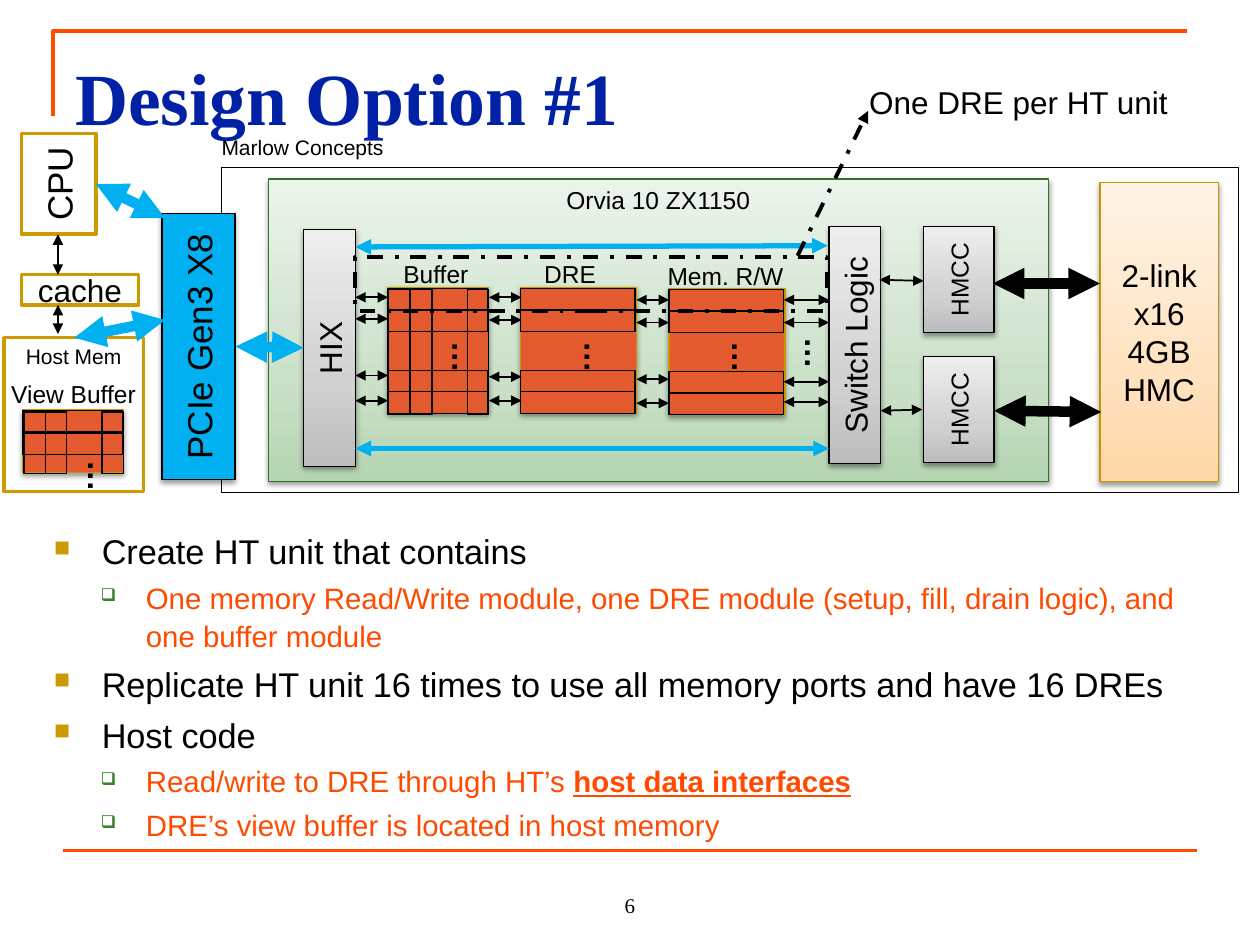
from lxml import etree
from pptx import Presentation
from pptx.dml.color import RGBColor
from pptx.enum import dml, shapes, text
from pptx.oxml import ns
from pptx.util import Inches, Pt

BLACK, WHITE, ORANGE, GOLD, CYAN = "000000", "FFFFFF", "FF4A00", "CC9900", "00B0F0"
GREY = ("BDBDBD", "D1D1D1", "EEEEEE")
GREEN = ("B5D5B2", "CCE1CA", "EBF4EB")
PEACH = ("FFD6A5", "FFE2BF", "FFF3E7")
CENTER = text.PP_ALIGN.CENTER
MIDDLE = text.MSO_ANCHOR.MIDDLE
ROW = 0.17


def color(value):
    return RGBColor.from_string(value)


def add_xml(parent, tag, **attributes):
    element = etree.SubElement(parent, ns.qn(tag))
    for name, value in attributes.items():
        element.set(name, str(value))
    return element


def style_font(font, size, value, name="Arial", bold=False):
    font.size, font.name, font.bold = Pt(size), name, bold
    font.color.rgb = color(value)


def style_line(line, value, width, dash=None):
    line.color.rgb = color(value)
    line.width = Pt(width)
    if dash:
        line.dash_style = dash


def paint(fill, value):
    """No fill, one colour, or three colours running from bottom to top."""
    if value is None:
        fill.background()
    elif isinstance(value, str):
        fill.solid()
        fill.fore_color.rgb = color(value)
    else:
        fill.gradient()
        fill.gradient_angle = 90
        stops = fill._fill._gradFill.find(ns.qn("a:gsLst"))
        for stop in list(stops):
            stops.remove(stop)
        for position, shade in zip((0, 35000, 100000), value):
            stop = add_xml(stops, "a:gs", pos=position)
            add_xml(stop, "a:srgbClr", val=shade)


def add_shadow(shape):
    effects = shape._element.spPr.find(ns.qn("a:effectLst"))
    outer = add_xml(effects, "a:outerShdw", blurRad=Pt(3.1), dist=Pt(1.6),
                    dir=5400000, rotWithShape=0)
    add_xml(add_xml(outer, "a:srgbClr", val=BLACK), "a:alpha", val=38000)


def write(shape, words, size, align=None, anchor=text.MSO_ANCHOR.TOP,
          vert=None, value=BLACK, name="Arial", bold=False):
    frame = shape.text_frame
    frame.word_wrap = True
    frame.vertical_anchor = anchor
    if vert:
        frame._txBody.bodyPr.set("vert", vert)
    para = frame.paragraphs[0]
    para.alignment = align
    para.add_run().text = words
    style_font(para.font, size, value, name, bold)


def add_label(page, x, y, w, h, words, size, **options):
    box = page.shapes.add_textbox(Inches(x), Inches(y), Inches(w), Inches(h))
    write(box, words, size, **options)
    return box


def add_box(page, x, y, w, h, fill=None, line=BLACK, width=0.75, dash=None, shadow=False):
    box = page.shapes.add_shape(shapes.MSO_SHAPE.RECTANGLE,
                                Inches(x), Inches(y), Inches(w), Inches(h))
    box.shadow.inherit = False
    paint(box.fill, fill)
    style_line(box.line, line, width, dash)
    if shadow:
        add_shadow(box)
    return box


def add_line(page, x1, y1, x2, y2, value=BLACK, width=1, ends="both", dash=None):
    line = page.shapes.add_connector(shapes.MSO_CONNECTOR.STRAIGHT,
                                     Inches(x1), Inches(y1), Inches(x2), Inches(y2))
    style_line(line.line, value, width, dash)
    if ends == "both":
        add_xml(line.line._ln, "a:headEnd", type="triangle")
    if ends:
        add_xml(line.line._ln, "a:tailEnd", type="triangle")
    add_xml(line._element.spPr, "a:effectLst")


def add_dots(page, x, y):
    add_label(page, x, y, 0.36, 0.4, "…", 18, vert="vert", bold=True)


def add_module(page, x, y, w, h, rows, columns=()):
    """Orange memory block divided by outlined rows and columns."""
    add_box(page, x, y, w, h, "E25A2E", "C89600", shadow=True)
    for offset in rows:
        add_box(page, x, y + offset, w - 0.01, ROW)
    for offset in columns:
        add_box(page, x + offset, y + 0.02, ROW, h - 0.01)


def add_frame(page):
    corner = page.shapes.build_freeform(Inches(0.42), Inches(0.92))
    corner.add_line_segments([(Inches(0.42), Inches(0.25)), (Inches(9.42), Inches(0.25))],
                             close=False)
    outline = corner.convert_to_shape()
    outline.shadow.inherit = False
    outline.fill.background()
    style_line(outline.line, ORANGE, 2.25)
    add_line(page, 0.5, 6.75, 9.5, 6.75, ORANGE, 2.25, ends=None)
    title = add_label(page, 0.5, 0.3, 9, 1.03, "Design Option #1", 42, anchor=MIDDLE,
                      value="0021A5", name="Times New Roman", bold=True)
    title.text_frame.margin_bottom = Inches(0.15)
    add_label(page, 4, 6.83, 2, 0.5, "6", 12, align=CENTER,
              anchor=text.MSO_ANCHOR.BOTTOM, name="Times New Roman")


def add_bullets(page, items):
    box = page.shapes.add_textbox(Inches(0.33), Inches(4.14), Inches(9.33), Inches(2.56))
    frame = box.text_frame
    frame.word_wrap = True
    looks = [(0.38, -0.38, "■", GOLD, 65, 19.6, BLACK),
             (0.73, -0.36, "❑", "3B812F", 60, 16.8, ORANGE)]
    for index, (level, words, strong) in enumerate(items):
        left, indent, mark, tint, percent, size, value = looks[level]
        para = frame.add_paragraph() if index else frame.paragraphs[0]
        para.level = level
        para.line_spacing = 1.07
        para.space_before = Pt(size * 0.2 if index else 0)
        props = para._p.get_or_add_pPr()
        props.set("marL", str(Inches(left)))
        props.set("indent", str(Inches(indent)))
        add_xml(add_xml(props, "a:buClr"), "a:srgbClr", val=tint)
        add_xml(props, "a:buSzPct", val=percent * 1000)
        add_xml(props, "a:buChar", char=mark)
        style_font(para.font, size, value)
        para.add_run().text = words
        if strong:
            span = para.add_run()
            span.text = strong
            span.font.bold = span.font.underline = True


def add_board(page):
    add_box(page, 1.76, 1.33, 8.07, 2.58)
    add_label(page, 1.66, 1.02, 1.59, 0.3, "Marlow Concepts", 12)
    link = add_box(page, 0.52, 2.46, 2.11, 0.58, CYAN, shadow=True)
    link.rotation = 270
    write(link, "PCIe Gen3 X8", 20, CENTER, MIDDLE)
    chip = add_box(page, 2.13, 1.42, 6.19, 2.4, GREEN, "337327", shadow=True)
    write(chip, "Orvia 10 ZX1150", 14, CENTER)
    memory = add_box(page, 8.73, 1.45, 0.94, 2.37, PEACH, "C89600", shadow=True)
    write(memory, "2-link x16 4GB HMC", 18, CENTER, MIDDLE)
    for x, y, w, h, words, size in [(2.41, 1.82, 0.41, 1.88, "HIX", 18),
                                    (6.58, 1.8, 0.41, 1.88, "Switch Logic", 18),
                                    (7.33, 1.8, 0.56, 0.84, "HMCC", 14),
                                    (7.33, 2.83, 0.56, 0.84, "HMCC", 14)]:
        unit = add_box(page, x, y, w, h, GREY, shadow=True)
        write(unit, words, size, CENTER, MIDDLE, "vert270")


def add_pipeline(page):
    rows, columns = (0.01, 0.18, 0.66, 0.83), (0, 0.18, 0.63)
    add_module(page, 5.31, 2.29, 0.92, 1, rows)
    add_module(page, 4.13, 2.28, 0.92, 1, rows)
    add_module(page, 3.08, 2.28, 0.8, 1, rows, columns)
    for x in (3.53, 4.58, 5.75):
        add_dots(page, x, 2.61)
    add_dots(page, 6.33, 2.58)
    add_label(page, 3.06, 2.01, 0.8, 0.34, "Buffer", 14, align=CENTER)
    add_label(page, 4.22, 2.01, 0.77, 0.34, "DRE", 14)
    add_label(page, 5.2, 2.02, 1.36, 0.34, "Mem. R/W", 14)
    # Arrows between neighbouring modules
    for x1, x2, heights in [(2.82, 3.08, (2.36, 2.53, 2.98, 3.18)),
                            (3.88, 4.14, (2.36, 2.54, 2.99, 3.18)),
                            (5.05, 5.31, (2.38, 2.56, 3.01, 3.2)),
                            (6.22, 6.58, (2.38, 2.56, 3.03, 3.19))]:
        for y in heights:
            add_line(page, x1, y, x2, y)
    # Switch to memory controllers, then to memory
    add_line(page, 6.98, 2.22, 7.33, 2.23)
    add_line(page, 6.99, 3.26, 7.32, 3.25)
    add_line(page, 7.88, 2.25, 8.73, 2.25, width=6)
    add_line(page, 7.89, 3.26, 8.74, 3.27, width=6)
    # Direct paths and host link
    add_line(page, 2.82, 1.96, 6.57, 1.95, CYAN, 3)
    add_line(page, 2.82, 3.56, 6.58, 3.56, CYAN, 3)
    add_line(page, 1.87, 2.75, 2.41, 2.76, CYAN, 6)
    # One unit, called out
    dash = dml.MSO_LINE.DASH_DOT
    add_box(page, 2.82, 2.04, 3.74, 0.43, width=2.25, dash=dash)
    add_line(page, 6.33, 2.03, 6.89, 0.88, width=2.25, ends="tail", dash=dash)
    add_label(page, 6.8, 0.61, 3.04, 0.4, "One DRE per HT unit", 18)


def add_host(page):
    for x, y, w, h, words, size, anchor, vert in [
            (0.17, 1.06, 0.59, 0.8, "CPU", 20, MIDDLE, "vert270"),
            (0.17, 2.18, 0.93, 0.24, "cache", 18, MIDDLE, None),
            (0.03, 2.68, 1.11, 1.22, "Host Mem", 12, text.MSO_ANCHOR.TOP, None)]:
        write(add_box(page, x, y, w, h, WHITE, GOLD, 2), words, size, CENTER, anchor, vert)
    add_module(page, 0.18, 3.25, 0.8, 0.5, (0.01, 0.19), (0.01, 0.18, 0.63))
    add_dots(page, 0.64, 3.56)
    add_label(page, -0.01, 2.96, 1.35, 0.34, "View Buffer", 14)
    add_line(page, 0.46, 1.86, 0.46, 2.18, width=0.75)
    add_line(page, 0.46, 2.42, 0.46, 2.65, width=0.75)
    add_line(page, 0.76, 1.46, 1.31, 1.73, CYAN, 6)
    add_line(page, 0.59, 2.68, 1.31, 2.54, CYAN, 6)


def main():
    deck = Presentation()
    deck.slide_width, deck.slide_height = Inches(10), Inches(7.5)
    page = deck.slides.add_slide(deck.slide_layouts[6])
    add_frame(page)
    add_bullets(page, [
        (0, "Create HT unit that contains", None),
        (1, "One memory Read/Write module, one DRE module (setup, fill, drain logic), "
            "and one buffer module", None),
        (0, "Replicate HT unit 16 times to use all memory ports and have 16 DREs", None),
        (0, "Host code", None),
        (1, "Read/write to DRE through HT’s ", "host data interfaces"),
        (1, "DRE’s view buffer is located in host memory", None)])
    add_board(page)
    add_pipeline(page)
    add_host(page)
    deck.save("out.pptx")


if __name__ == "__main__":
    main()
